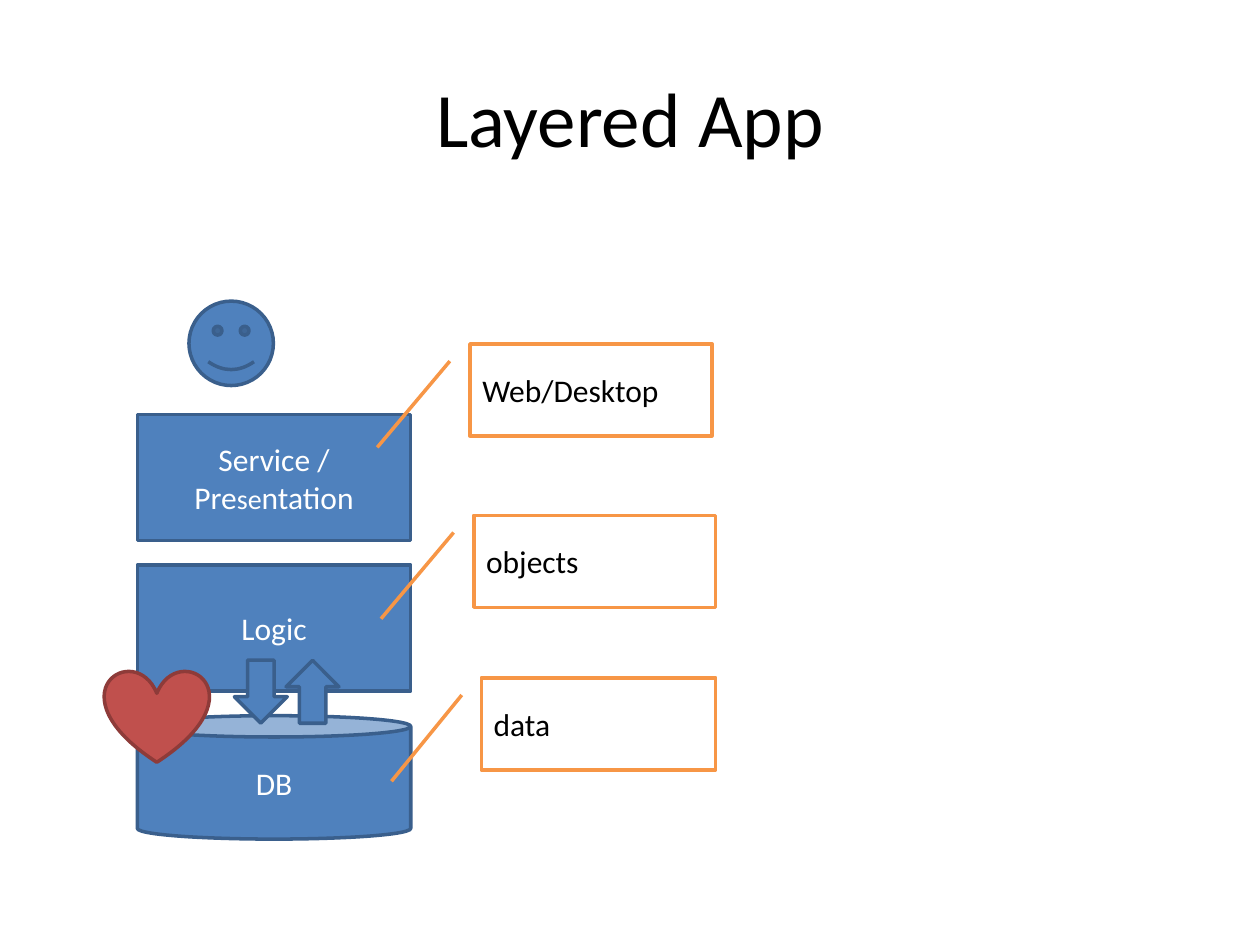
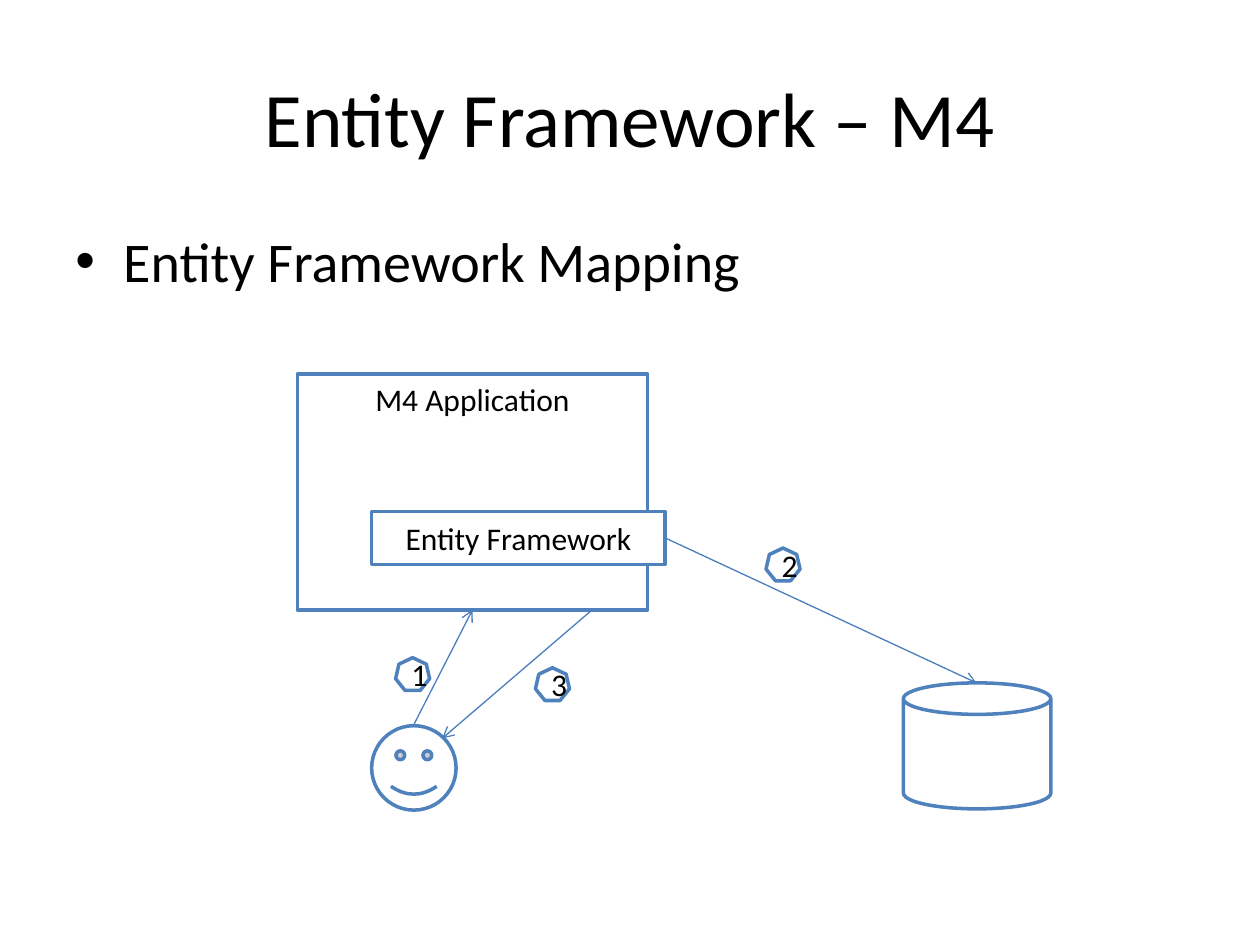
from dataclasses import dataclass

from lxml import etree
from pptx import Presentation
from pptx import util as u
from pptx.dml.color import RGBColor
from pptx.enum import shapes, text
from pptx.oxml.ns import qn

# Shared style
FONT = "Calibri"
BLACK, WHITE = "000000", "FFFFFF"
BLUE, DARK_BLUE, LINK_BLUE = "4F81BD", "3A5F8C", "4B7EBC"
ORANGE, RED, DARK_RED = "F79646", "C0504D", "8E3B39"
KIND = shapes.MSO_SHAPE
ALIGN = text.PP_ALIGN
ANCHOR = text.MSO_ANCHOR


@dataclass(frozen=True)
class Run:
    text: str
    size: float = 18


@dataclass(frozen=True)
class Style:
    fill: str
    line: str
    font: str
    align: ALIGN = ALIGN.CENTER


@dataclass(frozen=True)
class Box:
    left: float
    top: float
    width: float
    height: float

    def lengths(self) -> list:
        return [u.Inches(v) for v in (self.left, self.top, self.width, self.height)]


SOLID = Style(BLUE, DARK_BLUE, WHITE)
HEART = Style(RED, DARK_RED, WHITE)
OUTLINE = Style(WHITE, BLUE, BLACK)
CALLOUT = Style(WHITE, ORANGE, BLACK, ALIGN.LEFT)


def color(value: str) -> RGBColor:
    return RGBColor.from_string(value)


def add_runs(paragraph, runs: list[Run], font_color: str, align: ALIGN) -> None:
    paragraph.alignment = align
    for item in runs:
        run = paragraph.add_run()
        run.text = item.text
        run.font.name = FONT
        run.font.size = u.Pt(item.size)
        run.font.color.rgb = color(font_color)


def add_text(slide, box: Box, run: Run, align: ALIGN, anchor: ANCHOR):
    frame = slide.shapes.add_textbox(*box.lengths()).text_frame
    frame.word_wrap = True
    frame.vertical_anchor = anchor
    add_runs(frame.paragraphs[0], [run], BLACK, align)
    return frame.paragraphs[0]


def add_bullet(slide, box: Box, run: Run) -> None:
    paragraph = add_text(slide, box, run, ALIGN.LEFT, ANCHOR.TOP)
    properties = paragraph._p.get_or_add_pPr()
    indent = u.Inches(0.38)
    properties.set("marL", str(indent))
    properties.set("indent", str(-indent))
    etree.SubElement(properties, qn("a:buFont")).set("typeface", "Arial")
    etree.SubElement(properties, qn("a:buChar")).set("char", "•")


def add_shape(slide, kind: KIND, box: Box, style: Style, runs: list[Run] | None = None,
              anchor: ANCHOR = ANCHOR.MIDDLE):
    shape = slide.shapes.add_shape(kind, *box.lengths())
    shape.shadow.inherit = False
    shape.fill.solid()
    shape.fill.fore_color.rgb = color(style.fill)
    shape.line.color.rgb = color(style.line)
    shape.line.width = u.Pt(2)
    if runs:
        frame = shape.text_frame
        frame.word_wrap = True
        frame.vertical_anchor = anchor
        add_runs(frame.paragraphs[0], runs, style.font, style.align)
    return shape


def add_arrow(slide, start: tuple[float, float], end: tuple[float, float]) -> None:
    points = [u.Inches(v) for v in (*start, *end)]
    connector = slide.shapes.add_connector(shapes.MSO_CONNECTOR.STRAIGHT, *points)
    connector.line.color.rgb = color(LINK_BLUE)
    connector.line.width = u.Pt(0.75)
    etree.SubElement(connector.line._get_or_add_ln(), qn("a:tailEnd")).set("type", "arrow")
    etree.SubElement(connector._element.spPr, qn("a:effectLst"))


def add_slide(presentation, title: str):
    slide = presentation.slides.add_slide(presentation.slide_layouts[6])
    add_text(slide, Box(0.5, 0.3, 9, 1.25), Run(title, 44), ALIGN.CENTER, ANCHOR.MIDDLE)
    return slide


def build_layers(presentation) -> None:
    slide = add_slide(presentation, "Layered App")

    # Stack of layers with the user on top
    layers = [
        (KIND.RECTANGLE, 1, [Run("Service / Pre"), Run("se", 16), Run("ntation")]),
        (KIND.RECTANGLE, 1, [Run("Logic")]),
        (KIND.CAN, 0.98, [Run("DB")]),
    ]
    for index, (kind, height, runs) in enumerate(layers):
        box = Box(1.09, 3.29 + 1.195 * index, 2.17, height)
        layer = add_shape(slide, kind, box, SOLID, runs)
        if kind == KIND.CAN:
            layer.adjustments[0] = 0.173
    add_shape(slide, KIND.SMILEY_FACE, Box(1.5, 2.39, 0.67, 0.67), SOLID)

    # Technology callouts
    callouts = [
        (Box(3.73, 2.73, 1.92, 0.73), "Web/Desktop"),
        (Box(3.76, 4.09, 1.92, 0.73), "objects"),
        (Box(3.82, 5.38, 1.86, 0.73), "data"),
    ]
    for box, label in callouts:
        add_shape(slide, KIND.LINE_CALLOUT_1, box, CALLOUT, [Run(label)])

    # Heart and traffic between logic and database
    add_shape(slide, KIND.HEART, Box(0.83, 5.32, 0.83, 0.73), HEART)
    for left, rotation in ((1.86, 0), (2.27, 180)):
        arrow = add_shape(slide, KIND.DOWN_ARROW, Box(left, 5.24, 0.42, 0.5), SOLID)
        arrow.rotation = rotation


def build_mapping(presentation) -> None:
    slide = add_slide(presentation, "Entity Framework – M4")
    add_bullet(slide, Box(0.5, 1.75, 9, 4.95), Run("Entity Framework Mapping", 32))

    # Database, application and user
    add_shape(slide, KIND.CAN, Box(7.17, 5.42, 1.17, 1), OUTLINE)
    add_shape(slide, KIND.RECTANGLE, Box(2.36, 2.97, 2.78, 1.87), OUTLINE,
              [Run("M4 Application")], ANCHOR.TOP)
    add_shape(slide, KIND.RECTANGLE, Box(2.95, 4.06, 2.33, 0.42), OUTLINE,
              [Run("Entity Framework")])
    add_shape(slide, KIND.SMILEY_FACE, Box(2.95, 5.76, 0.67, 0.67), OUTLINE)

    # Request, query and response
    add_arrow(slide, (3.28, 5.76), (3.75, 4.84))
    add_arrow(slide, (5.28, 4.27), (7.75, 5.42))
    add_arrow(slide, (4.7, 4.84), (3.51, 5.86))

    # Step numbers
    steps = [(3.14, 5.22), (6.08, 4.35), (4.25, 5.3)]
    for number, (left, top) in enumerate(steps, start=1):
        add_shape(slide, KIND.HEPTAGON, Box(left, top, 0.27, 0.26), OUTLINE,
                  [Run(str(number))])


presentation = Presentation()
presentation.slide_width = u.Inches(10)
presentation.slide_height = u.Inches(7.5)
build_layers(presentation)
build_mapping(presentation)
presentation.save("out.pptx")
